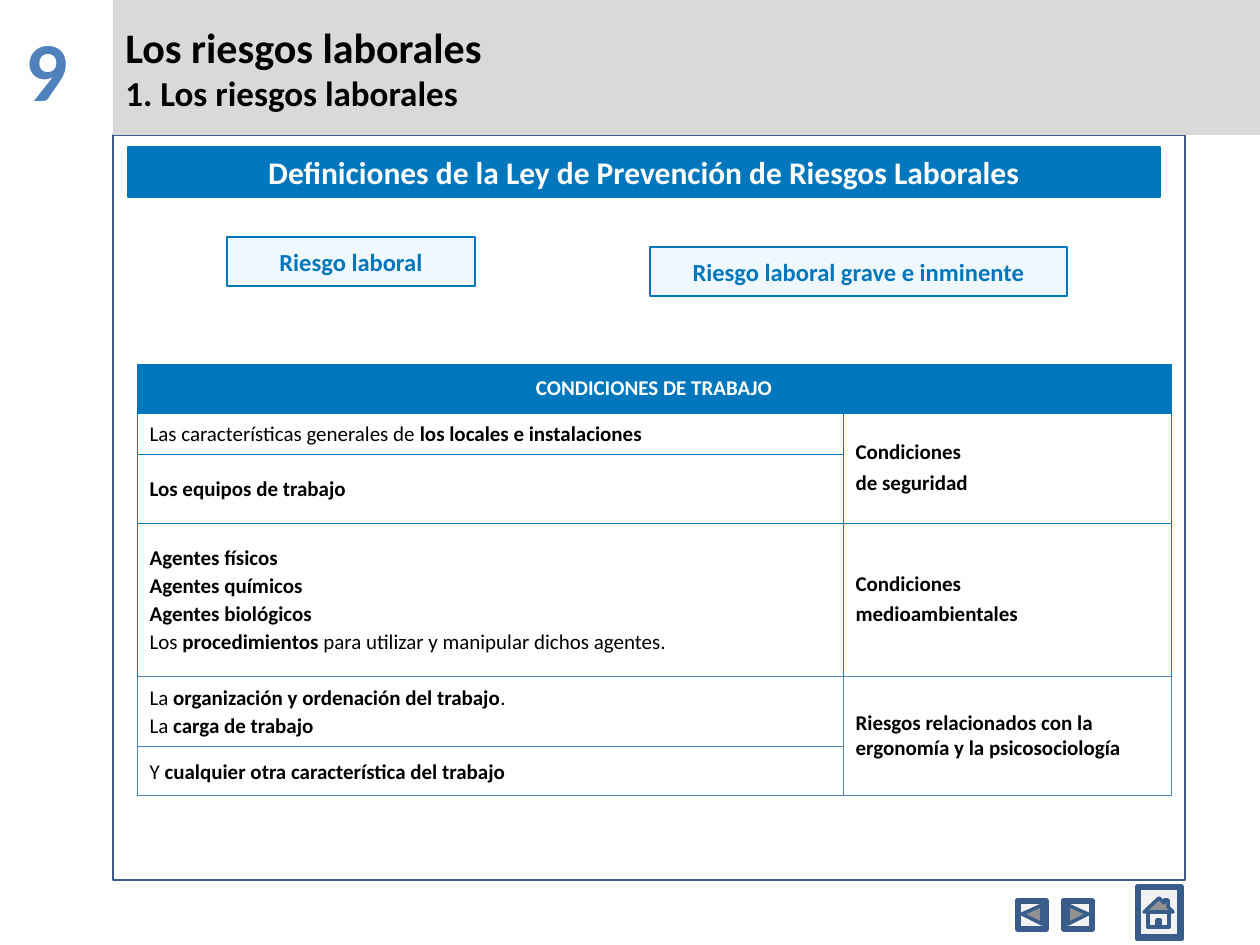
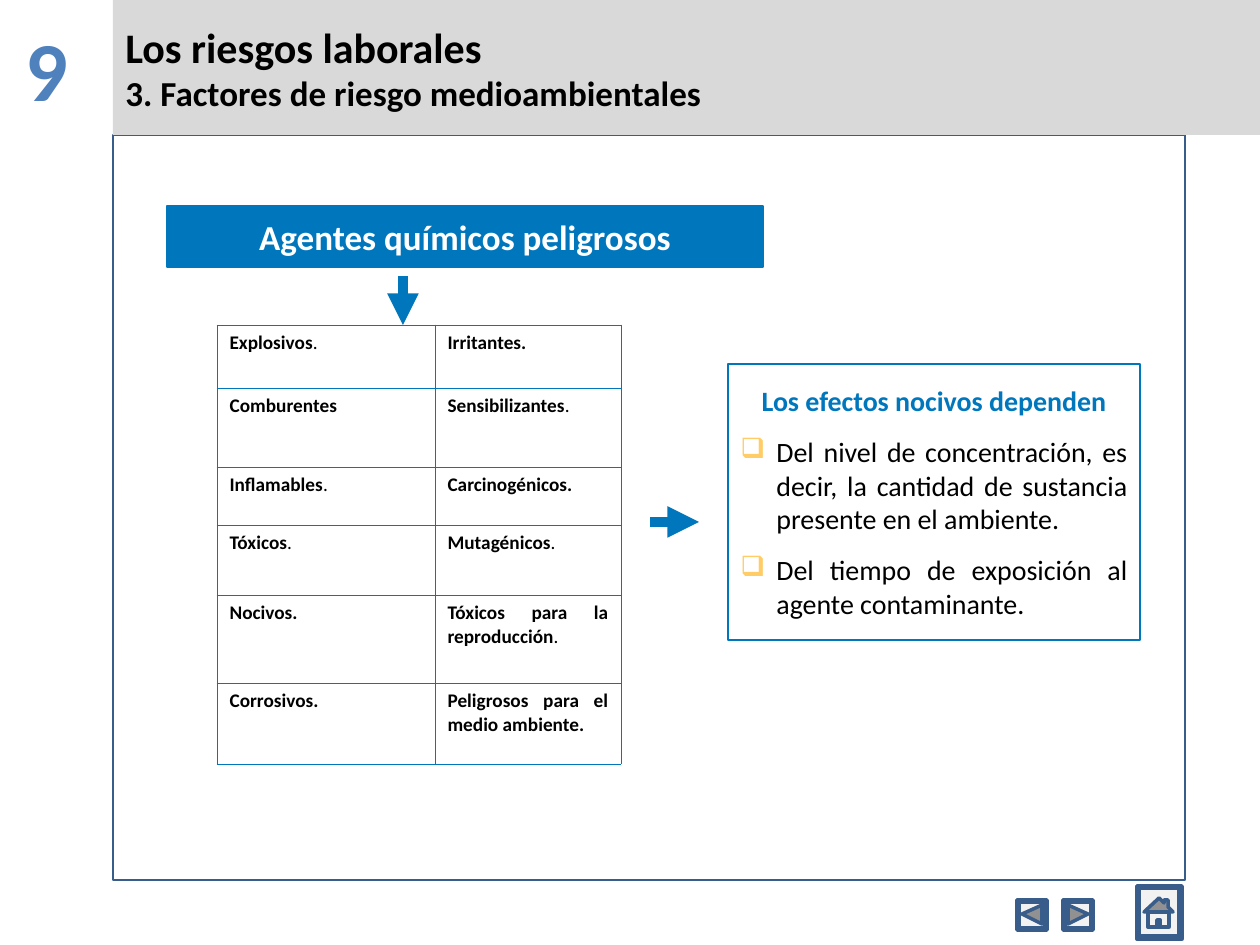
from dataclasses import dataclass

from lxml.etree import SubElement
from pptx import Presentation
from pptx.dml.color import RGBColor
from pptx.enum.shapes import MSO_CONNECTOR, MSO_SHAPE
from pptx.enum.text import MSO_ANCHOR, PP_ALIGN
from pptx.oxml.ns import qn
from pptx.util import Emu, Pt

SCALE = 914400 / 126  # EMU in one px


def px(length):
    return Emu(round(length * SCALE))


def set_all(target, values):
    for name, value in values.items():
        setattr(target, name, value)


@dataclass(frozen=True)
class Theme:
    font: str = "Calibri"
    blue: str = "0077BD"
    accent: str = "4F81BD"
    frame: str = "385D8A"
    band: str = "D9D9D9"
    pale: str = "EFF7FF"
    button: str = "F2F2F2"
    glyph: str = "919191"
    bullet: str = "FFCC66"
    black: str = "000000"
    white: str = "FFFFFF"
    number: int = 48
    title: int = 24
    subtitle: int = 20
    banner: int = 18
    body: int = 16
    label: int = 14
    table: int = 12
    small_table: int = 11
    thin: float = 0.75
    hairline: float = 0.45
    button_line: float = 2
    arrow: float = 6


class Deck:
    def __init__(self, theme):
        self.theme = theme
        self.presentation = Presentation()
        set_all(self.presentation, {"slide_width": px(1260), "slide_height": px(945)})
        self.slide = None

    def add_slide(self, subtitle):
        """Add a slide with the number, frame, header band and buttons."""
        theme = self.theme
        self.slide = self.presentation.slides.add_slide(self.presentation.slide_layouts[6])
        number = self.slide.shapes.add_textbox(*map(px, (0, 10, 93, 116)))
        self.put_text(number.text_frame, ["**9**"], theme.number, theme.accent, PP_ALIGN.CENTER)
        self.box((113, 135, 1072, 745), line=theme.frame)
        header = self.box((113, 0, 1147, 135), fill=theme.band)
        self.put_text(header.text_frame, ["**Los riesgos laborales**", f"**{subtitle}**"],
                      theme.title)
        header.text_frame.paragraphs[1].runs[0].font.size = Pt(theme.subtitle)
        self.navigation()

    # Shapes
    def paint(self, shape, fill=None, line=None, width=None):
        shape.shadow.inherit = False
        if fill:
            shape.fill.solid()
            shape.fill.fore_color.rgb = RGBColor.from_string(fill)
        else:
            shape.fill.background()
        if line:
            shape.line.color.rgb = RGBColor.from_string(line)
            shape.line.width = Pt(width or self.theme.thin)
        else:
            shape.line.fill.background()
        return shape

    def box(self, area, fill=None, line=None):
        shape = self.slide.shapes.add_shape(MSO_SHAPE.RECTANGLE, *map(px, area))
        return self.paint(shape, fill, line)

    def text_box(self, area, text, size, color, fill):
        """Add a box with a blue outline and one bold centred line."""
        shape = self.box(area, fill, self.theme.blue)
        self.put_text(shape.text_frame, [f"**{text}**"], size, color, PP_ALIGN.CENTER)

    def arrow(self, start, end):
        connector = self.slide.shapes.add_connector(
            MSO_CONNECTOR.STRAIGHT, *map(px, (*start, *end)))
        connector.line.color.rgb = RGBColor.from_string(self.theme.blue)
        connector.line.width = Pt(self.theme.arrow)
        properties = connector._element.spPr
        SubElement(properties.get_or_add_ln(), qn("a:tailEnd"), type="triangle")
        SubElement(properties, qn("a:effectLst"))

    # Navigation buttons
    def button(self, area):
        theme = self.theme
        shape = self.slide.shapes.add_shape(MSO_SHAPE.BEVEL, *map(px, area))
        shape.adjustments[0] = 0.06
        self.paint(shape, theme.button, theme.frame, theme.button_line)

    def outline(self, points, fill):
        builder = self.slide.shapes.build_freeform(*points[0], scale=SCALE)
        builder.add_line_segments(points[1:], close=True)
        self.paint(builder.convert_to_shape(), fill, self.theme.frame, self.theme.button_line)

    def navigation(self):
        theme = self.theme
        for left, tip, base in ((1017, 5, 25), (1063, 25, 5)):
            self.button((left, 900, 30, 30))
            self.outline([(left + tip, 914), (left + base, 905), (left + base, 924)], theme.glyph)
        self.button((1137, 886, 45, 53))
        roof = [(1159, 898), (1164, 903), (1164, 900), (1168, 900),
                (1168, 907), (1173, 912), (1144, 912)]
        walls = [(1148, 912), (1169, 912), (1169, 927), (1148, 927)]
        door = [(1157, 920), (1160, 920), (1160, 927), (1157, 927)]
        for points, fill in ((walls, theme.button), (roof, theme.glyph), (door, theme.glyph)):
            self.outline(points, fill)

    # Text: ** switches bold on and off
    def put_text(self, frame, lines, size, color=None, align=PP_ALIGN.LEFT,
                 anchor=MSO_ANCHOR.MIDDLE, **spacing):
        set_all(frame, {"word_wrap": True, "vertical_anchor": anchor})
        for index, line in enumerate(lines):
            paragraph = frame.add_paragraph() if index else frame.paragraphs[0]
            values = {"alignment": align, **spacing}
            if not index:
                values.pop("space_before", None)
            set_all(paragraph, values)
            for part, text in enumerate(line.split("**")):
                if text:
                    run = paragraph.add_run()
                    run.text = text
                    set_all(run.font, {"name": self.theme.font, "size": Pt(size),
                                       "bold": part % 2 == 1})
                    run.font.color.rgb = RGBColor.from_string(color or self.theme.black)

    def bullet(self, paragraph):
        properties = paragraph._p.get_or_add_pPr()
        indent = px(36)
        properties.set("marL", str(indent))
        properties.set("indent", str(-indent))
        color = SubElement(properties, qn("a:buClr"))
        SubElement(color, qn("a:srgbClr"), val=self.theme.bullet)
        SubElement(properties, qn("a:buChar"), char="❑")

    # Tables
    def table(self, left, top, columns, rows):
        area = (left, top, sum(columns), sum(rows))
        table = self.slide.shapes.add_table(len(rows), len(columns), *map(px, area)).table
        set_all(table, {"first_row": False, "horz_banding": False})
        for column, width in zip(table.columns, columns):
            column.width = px(width)
        for row, height in zip(table.rows, rows):
            row.height = px(height)
        return table

    def style_cell(self, cell, border, fill=None):
        properties = cell._tc.get_or_add_tcPr()
        for side in ("lnL", "lnR", "lnT", "lnB"):
            line = SubElement(properties, qn(f"a:{side}"), w=str(Pt(self.theme.hairline)))
            SubElement(SubElement(line, qn("a:solidFill")), qn("a:srgbClr"), val=border)
        if fill:
            cell.fill.solid()
            cell.fill.fore_color.rgb = RGBColor.from_string(fill)
        else:
            cell.fill.background()


def add_definitions(deck):
    theme = deck.theme
    deck.add_slide("1. Los riesgos laborales")
    deck.text_box((128, 147, 1032, 50), "Definiciones de la Ley de Prevención de Riesgos Laborales",
                  theme.banner, theme.white, theme.blue)
    for area, text in (((227, 237, 248, 49), "Riesgo laboral"),
                       ((650, 247, 417, 49), "Riesgo laboral grave e inminente")):
        deck.text_box(area, text, theme.label, theme.blue, theme.pale)

    # Working conditions
    table = deck.table(137, 364, (706, 328), (49, 41, 69, 153, 70, 50))
    for index in range(6):
        for column in range(2):
            deck.style_cell(table.cell(index, column), theme.accent if index > 3 else theme.blue,
                            None if index else theme.blue)
    for first, last in (((0, 0), (0, 1)), ((1, 1), (2, 1)), ((4, 1), (5, 1))):
        table.cell(*first).merge(table.cell(*last))
    deck.put_text(table.cell(0, 0).text_frame, ["**CONDICIONES DE TRABAJO**"], theme.table,
                  theme.white, PP_ALIGN.CENTER)
    conditions = [
        ["Las características generales de** los locales e instalaciones**"],
        ["**Los equipos de trabajo**"],
        ["**Agentes físicos**", "**Agentes químicos**", "**Agentes biológicos**",
         "Los **procedimientos** para utilizar y manipular dichos agentes."],
        ["La **organización y ordenación del trabajo**.", "La **carga de trabajo**"],
        ["Y **cualquier otra característica del trabajo**"],
    ]
    for index, lines in enumerate(conditions, 1):
        deck.put_text(table.cell(index, 0).text_frame, lines, theme.table, line_spacing=1.1)
    groups = {
        1: ["**Condiciones**", "**de seguridad**"],
        3: ["**Condiciones**", "**medioambientales**"],
        4: ["**Riesgos relacionados con la ergonomía y la psicosociología**"],
    }
    for index, lines in groups.items():
        deck.put_text(table.cell(index, 1).text_frame, lines, theme.table, space_before=Pt(3))
    for row in table.rows:
        for cell in row.cells:
            cell.vertical_anchor = MSO_ANCHOR.MIDDLE


def add_chemical_agents(deck):
    theme = deck.theme
    deck.add_slide("3. Factores de riesgo medioambientales")
    deck.text_box((167, 206, 596, 61), "Agentes químicos peligrosos",
                  theme.subtitle, theme.white, theme.blue)
    deck.arrow((403, 276), (403, 325))
    deck.arrow((650, 522), (699, 522))

    # Harmful effects
    effects = deck.box((728, 364, 412, 276), line=theme.blue)
    deck.put_text(effects.text_frame, [
        "**Los efectos nocivos dependen**",
        "Del nivel de concentración, es decir, la cantidad de sustancia presente en el ambiente.",
        "Del tiempo de exposición al agente contaminante.",
    ], theme.body, align=PP_ALIGN.JUSTIFY, space_before=Pt(5), space_after=Pt(5))
    heading, *causes = effects.text_frame.paragraphs
    heading.alignment = PP_ALIGN.CENTER
    heading.runs[0].font.color.rgb = RGBColor.from_string(theme.blue)
    for paragraph in causes:
        deck.bullet(paragraph)

    # Kinds of agent
    agents = [
        ("**Explosivos**.", "**Irritantes.**"),
        ("**Comburentes**", "**Sensibilizantes**."),
        ("**Inflamables**.", "**Carcinogénicos.**"),
        ("**Tóxicos**.", "**Mutagénicos**."),
        ("**Nocivos.**", "**Tóxicos para la reproducción**."),
        ("**Corrosivos.**", "**Peligrosos para el medio ambiente.**"),
    ]
    table = deck.table(217, 325, (218, 186), (63, 79, 58, 70, 88, 81))
    for row, texts in zip(table.rows, agents):
        for cell, text in zip(row.cells, texts):
            deck.style_cell(cell, theme.blue)
            deck.put_text(cell.text_frame, [text], theme.small_table, align=PP_ALIGN.JUSTIFY,
                          anchor=MSO_ANCHOR.TOP)


def main():
    deck = Deck(Theme())
    add_definitions(deck)
    add_chemical_agents(deck)
    deck.presentation.save("out.pptx")


if __name__ == "__main__":
    main()
